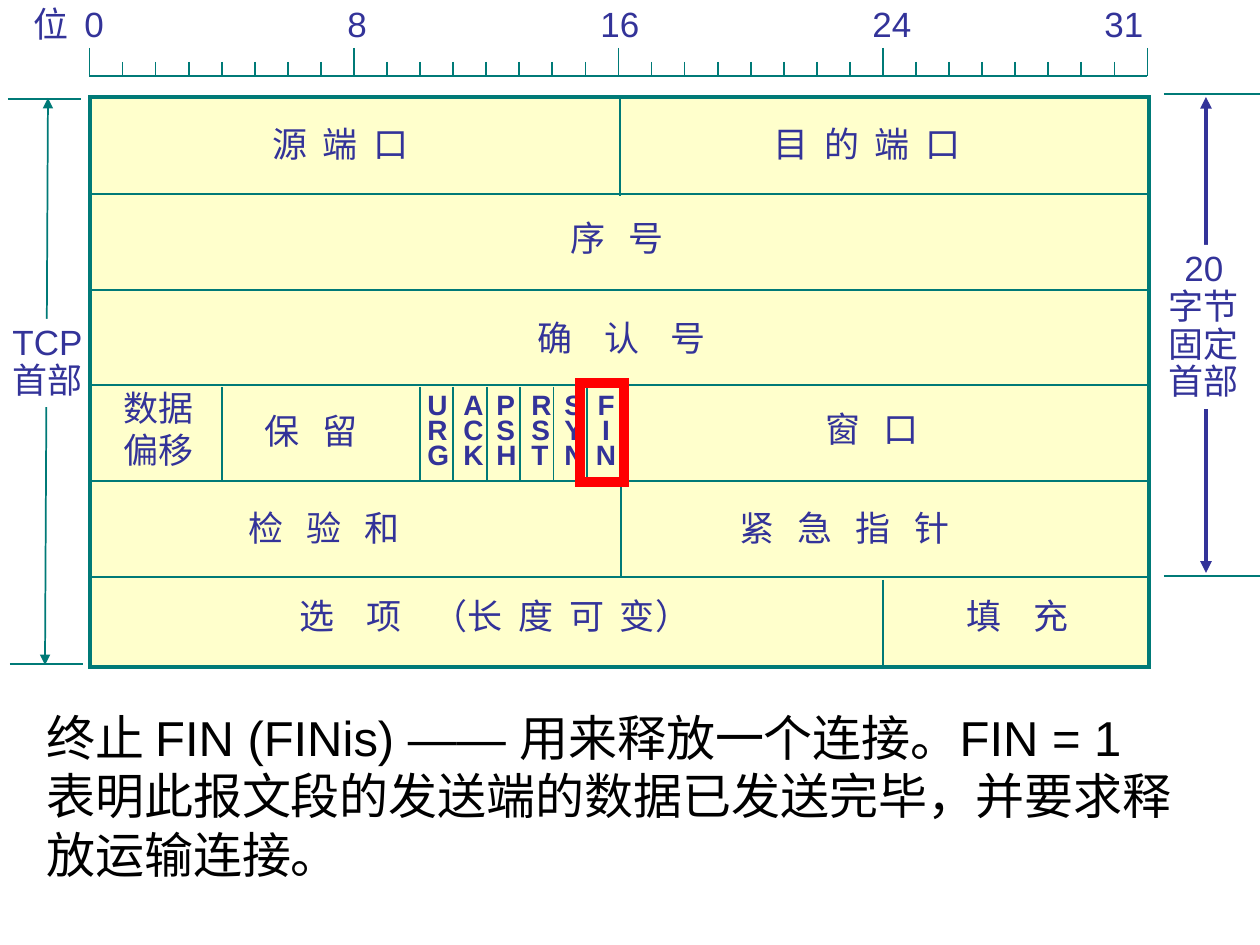
from lxml import etree
from pptx import Presentation
from pptx.dml.color import RGBColor
from pptx.enum.shapes import MSO_CONNECTOR, MSO_SHAPE
from pptx.enum.text import PP_ALIGN
from pptx.oxml.ns import qn
from pptx.util import Pt

EMU_PER_PX = 914400 / 126
TEAL = RGBColor(0x00, 0x7A, 0x77)
NAVY = RGBColor(0x33, 0x33, 0x99)
CREAM = RGBColor(0xFF, 0xFF, 0xCC)
WHITE = RGBColor(0xFF, 0xFF, 0xFF)
BLACK = RGBColor(0x00, 0x00, 0x00)
RED = RGBColor(0xFF, 0x00, 0x00)

# Extra letter spacing in hundredths of a point
WIDE, WIDER, WIDEST = 220, 440, 680


def px(length):
    return round(length * EMU_PER_PX)


class HeaderSlide:
    """Draws on one slide in a single style, with all lengths in px."""

    font_name = "Arial"

    def __init__(self, slide):
        self.shapes = slide.shapes

    def line(self, x1, y1, x2, y2, color=TEAL, width=1, arrows=False):
        connector = self.shapes.add_connector(
            MSO_CONNECTOR.STRAIGHT, px(x1), px(y1), px(x2), px(y2))
        connector.line.color.rgb = color
        connector.line.width = Pt(width)
        if arrows:
            outline = connector.line._get_or_add_ln()
            for end in ("a:headEnd", "a:tailEnd"):
                etree.SubElement(outline, qn(end), type="triangle")
        etree.SubElement(connector._element.spPr, qn("a:effectLst"))

    def box(self, x, y, width, height, color, weight, fill=None):
        """Add a rectangle with sharp corners."""
        frame = self.shapes.add_shape(
            MSO_SHAPE.RECTANGLE, px(x), px(y), px(width), px(height))
        frame.shadow.inherit = False
        if fill is None:
            frame.fill.background()
        else:
            frame.fill.solid()
            frame.fill.fore_color.rgb = fill
        frame.line.color.rgb = color
        frame.line.width = Pt(weight)
        etree.SubElement(frame.line._get_or_add_ln(), qn("a:miter"), lim="800000")

    def text(self, x, y, width, height, lines, size=20, color=NAVY, bold=False,
             align=PP_ALIGN.LEFT, spacing=1.0, wrap=True, fill=None, tabs=()):
        """Each line is a list of (words, letter spacing) pairs."""
        label = self.shapes.add_textbox(px(x), px(y), px(width), px(height))
        if fill is not None:
            label.fill.solid()
            label.fill.fore_color.rgb = fill
        label.text_frame.word_wrap = wrap
        for index, pieces in enumerate(lines):
            paragraph = (label.text_frame.add_paragraph() if index
                         else label.text_frame.paragraphs[0])
            paragraph.alignment = align
            paragraph.line_spacing = spacing
            if tabs:
                stops = etree.SubElement(paragraph._p.get_or_add_pPr(), qn("a:tabLst"))
                for stop in tabs:
                    etree.SubElement(stops, qn("a:tab"), pos=str(px(stop)), algn="l")
            paragraph.font.name = self.font_name
            paragraph.font.size = Pt(size)
            paragraph.font.bold = bold
            paragraph.font.color.rgb = color
            for words, tracking in pieces:
                run = paragraph.add_run()
                run.text = words
                if tracking:
                    run._r.get_or_add_rPr().set("spc", str(tracking))

    def stack(self, x, y, width, height, words, **style):
        """Put one word on each line."""
        self.text(x, y, width, height, [[(word, 0)] for word in words],
                  wrap=False, **style)


def draw_ruler(header):
    left, right, base, bits = 89.5, 1147.5, 76, 32
    header.line(left, base, right, base)
    for bit in range(bits + 1):
        x = left + bit * (right - left) / bits
        header.line(x, 48 if bit % 8 == 0 else 62, x, base)
    header.text(21, -4, 1148, 54, [[("位\t0\t8\t16\t24\t31", 0)]],
                tabs=(51, 314, 567, 839, 1071))


def draw_side_measures(header):
    header.line(48, 98, 45, 665, arrows=True)
    header.stack(0, 319, 96, 88, ["TCP", "首部"], spacing=0.9, fill=WHITE)
    header.line(1206, 97, 1206, 573, NAVY, 2.25, arrows=True)
    header.stack(1156, 245, 96, 164, ["20", "字节", "固定", "首部"],
                 align=PP_ALIGN.CENTER, spacing=0.9, fill=WHITE)
    for x1, x2, y in ((8, 81, 99), (10, 83, 664), (1164, 1279, 94), (1164, 1279, 576)):
        header.line(x1, y, x2, y)


def draw_fields(header):
    header.box(90, 97, 1059, 570, TEAL, 2, fill=CREAM)
    for y in (194, 290, 385, 481, 577):
        header.line(90, y, 1149, y)
    for x, top, bottom in ((620, 98, 196), (621, 387, 576), (222, 387, 482), (883, 580, 667)):
        header.line(x, top, x, bottom)
    fields = (
        (260, 116, 200, [("源 端 口", WIDE)]),
        (761, 116, 271, [("目 的 端 口", WIDE)]),
        (558, 210, 190, [("序 号", WIDER)]),
        (525, 310, 253, [("确 认 号", WIDEST)]),
        (252, 403, 147, [("保 留", WIDER)]),
        (813, 401, 147, [("窗 口", WIDER)]),
        (236, 500, 236, [("检 验 和", WIDER)]),
        (727, 500, 323, [("紧 急 指 针", WIDER)]),
        (287, 588, 520, [("选 项 ", WIDEST), ("（", 0), ("长 度 可 ", WIDE), ("变）", 0)]),
        (954, 588, 173, [("填 充", WIDEST)]),
    )
    for x, y, width, pieces in fields:
        header.text(x, y, width, 54, [pieces])
    header.stack(111, 380, 96, 96, ["数据", "偏移"])


def draw_flags(header):
    flags = (("URG", 415), ("ACK", 451), ("PSH", 484),
             ("RST", 519), ("SYN", 552), ("FIN", 583))
    for index, (flag, x) in enumerate(flags):
        divider = 420 + index * 33.4
        header.line(divider, 387, divider, 481)
        header.stack(x, 389, 46, 88, flag, size=16, bold=True, spacing=0.75,
                     align=PP_ALIGN.CENTER if flag == "FIN" else PP_ALIGN.LEFT)


def main():
    presentation = Presentation()
    presentation.slide_width = px(1260)
    presentation.slide_height = px(945)
    header = HeaderSlide(presentation.slides.add_slide(presentation.slide_layouts[6]))
    draw_side_measures(header)
    draw_fields(header)
    draw_flags(header)
    draw_ruler(header)
    explanation = ("终止 FIN (FINis) —— 用来释放一个连接。FIN = 1 "
                   "表明此报文段的发送端的数据已发送完毕，并要求释放运输连接。")
    header.text(34, 701, 1160, 189, [[(explanation, 0)]], size=28, color=BLACK)
    header.box(580, 383, 44, 99, RED, 6)
    presentation.save("out.pptx")


if __name__ == "__main__":
    main()
